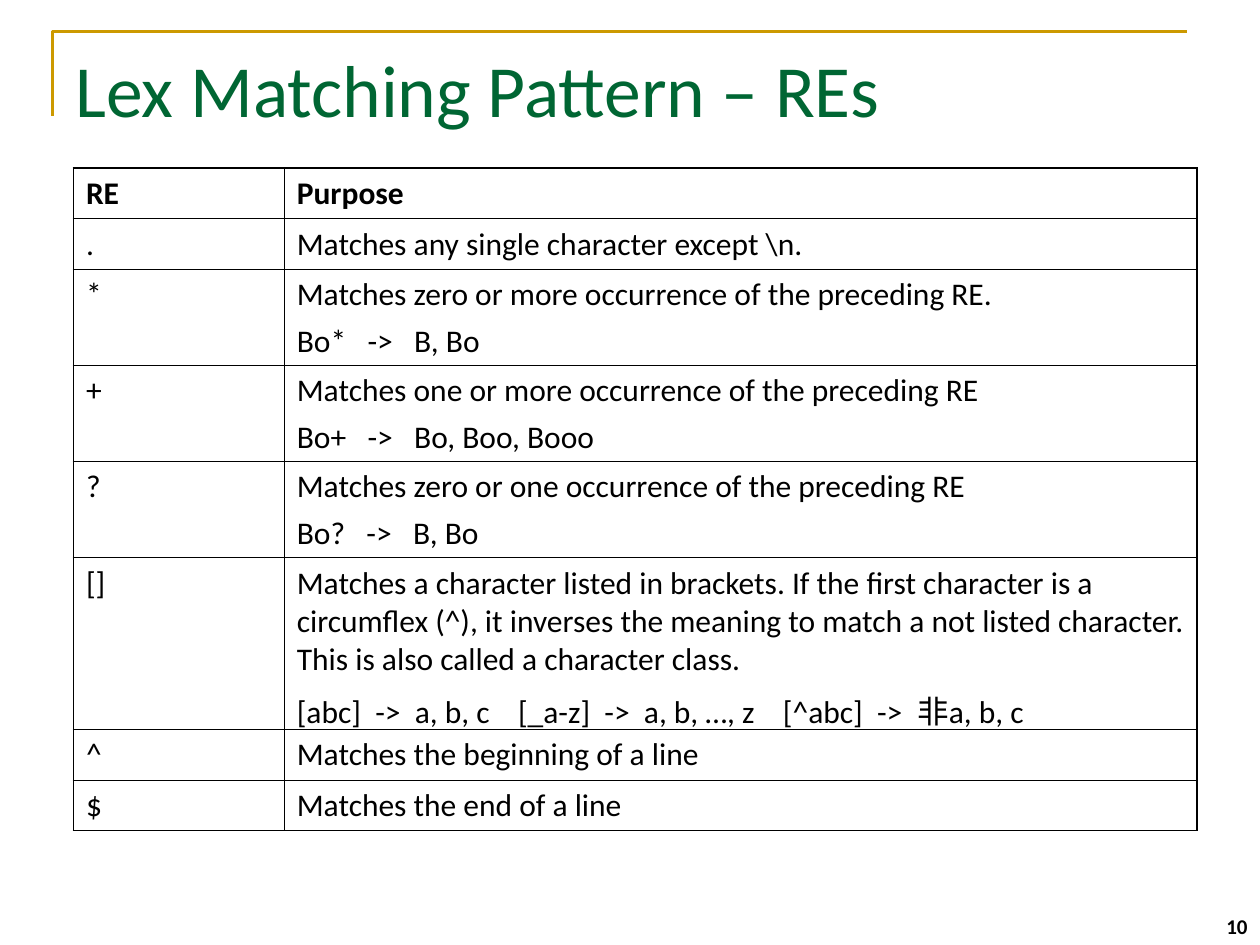
from dataclasses import dataclass
from typing import Any

from lxml.etree import SubElement
from pptx import Presentation
from pptx.dml.color import RGBColor
from pptx.enum.text import MSO_ANCHOR, PP_ALIGN
from pptx.oxml.ns import qn
from pptx.util import Cm, Pt


def color(value):
    return RGBColor.from_string(value)


@dataclass
class SlideBuilder:
    """Builds elements on one slide in a shared style."""

    slide: Any
    font: str = "Calibri"
    ink: str = "000000"
    green: str = "006633"
    gold: str = "CC9900"
    thin: float = 0.45
    thick: float = 1.08

    def format_text(self, para, size, ink, bold=False):
        for span in para.runs:
            span.font.name = self.font
            span.font.size = Pt(size)
            span.font.bold = bold
            span.font.color.rgb = color(ink)

    def corner_rule(self, left, top, right, bottom):
        outline = self.slide.shapes.build_freeform(Cm(left), Cm(bottom))
        outline.add_line_segments([(Cm(left), Cm(top)), (Cm(right), Cm(top))], close=False)
        rule = outline.convert_to_shape()
        rule.shadow.inherit = False
        rule.fill.background()
        rule.line.color.rgb = color(self.gold)
        rule.line.width = Pt(1.5)

    def title(self, text, left, top, width, height):
        box = self.slide.shapes.title
        box.left, box.top, box.width, box.height = map(Cm, (left, top, width, height))
        frame = box.text_frame
        frame.text = text
        frame.vertical_anchor = MSO_ANCHOR.TOP
        para = frame.paragraphs[0]
        para.alignment = PP_ALIGN.LEFT
        self.format_text(para, 42, self.green)

    def page_number(self, text, left, top, width, height):
        box = self.slide.shapes.add_textbox(*map(Cm, (left, top, width, height)))
        frame = box.text_frame
        frame.word_wrap = True
        frame.text = text
        frame.vertical_anchor = MSO_ANCHOR.BOTTOM
        para = frame.paragraphs[0]
        para.alignment = PP_ALIGN.RIGHT
        self.format_text(para, 12, self.ink, bold=True)

    def borders(self, cell, widths):
        properties = cell._tc.get_or_add_tcPr()
        for index, (side, width) in enumerate(widths.items()):
            line = properties.makeelement(qn(f"a:ln{side}"), {"w": str(Pt(width))})
            fill = SubElement(line, qn("a:solidFill"))
            SubElement(fill, qn("a:srgbClr"), val=self.ink)
            properties.insert(index, line)

    def table(self, rows, left, top, widths, heights):
        frame = self.slide.shapes.add_table(
            len(rows), len(widths), Cm(left), Cm(top), Cm(sum(widths)), Cm(sum(heights))
        )
        table = frame.table
        table.first_row = table.horz_banding = False
        for column, width in zip(table.columns, widths):
            column.width = Cm(width)
        for row, height in zip(table.rows, heights):
            row.height = Cm(height)
        for row_index, texts in enumerate(rows):
            for column_index, text in enumerate(texts):
                cell = table.cell(row_index, column_index)
                cell.text_frame.text = text
                cell.fill.background()
                for para in cell.text_frame.paragraphs:
                    para.space_before = Pt(4.5)
                    self.format_text(para, 18, self.ink, bold=row_index == 0)
                self.borders(cell, {
                    "L": self.thick if column_index == 0 else self.thin,
                    "R": self.thick if column_index == len(widths) - 1 else self.thin,
                    "T": self.thick if row_index == 0 else self.thin,
                    "B": self.thin,
                })


EXPRESSIONS = [
    ("RE", "Purpose"),
    (".", "Matches any single character except \\n."),
    ("*", "Matches zero or more occurrence of the preceding RE.\nBo*   ->   B, Bo"),
    ("+", "Matches one or more occurrence of the preceding RE\nBo+   ->   Bo, Boo, Booo"),
    ("?", "Matches zero or one occurrence of the preceding RE\nBo?   ->   B, Bo"),
    ("[]", "Matches a character listed in brackets. If the first character is a "
           "circumflex (^), it inverses the meaning to match a not listed character. "
           "This is also called a character class.\n"
           "[abc]  ->  a, b, c    [_a-z]  ->  a, b, …, z    [^abc]  ->  非a, b, c"),
    ("^", "Matches the beginning of a line"),
    ("$", "Matches the end of a line"),
]


def main():
    deck = Presentation()
    deck.slide_width, deck.slide_height = Cm(25.4), Cm(19.05)
    page = SlideBuilder(deck.slides.add_slide(deck.slide_layouts[5]))
    page.corner_rule(1.06, 0.64, 23.92, 2.33)
    page.page_number("10", 19.48, 17.78, 5.92, 1.27)
    page.title("Lex Matching Pattern – REs", 1.27, 0.76, 22.86, 3.18)
    single, double, multiple = 1.02, 1.93, 3.45
    heights = [single] * 2 + [double] * 3 + [multiple] + [single] * 2
    page.table(EXPRESSIONS, 1.48, 3.39, [4.25, 18.4], heights)
    deck.save("out.pptx")


if __name__ == "__main__":
    main()
